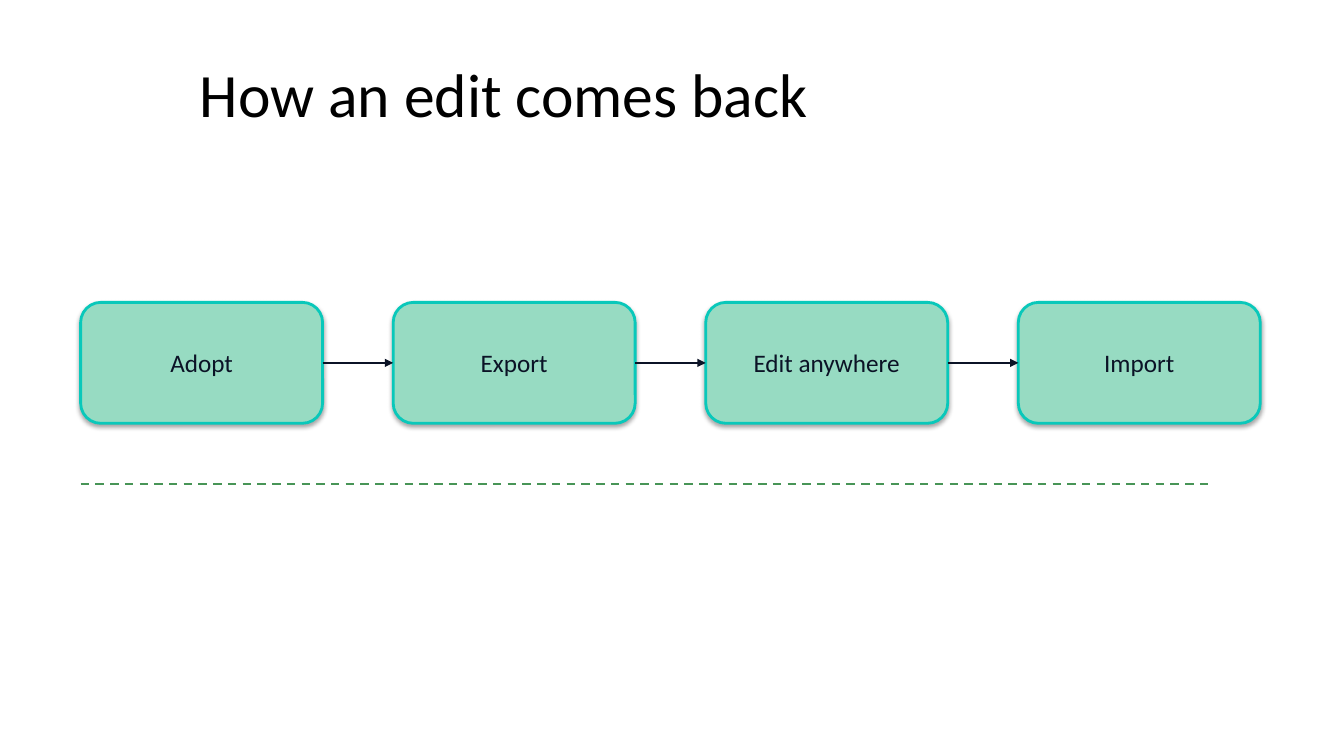
from lxml import etree
from pptx import Presentation
from pptx.dml.color import RGBColor
from pptx.enum.dml import MSO_LINE
from pptx.enum.shapes import MSO_CONNECTOR as CONN, MSO_SHAPE as SHAPE
from pptx.enum.text import MSO_ANCHOR as ANCHOR, PP_ALIGN as ALIGN
from pptx.oxml.ns import qn
from pptx.util import Inches, Pt

STEPS = ["Adopt", "Export", "Edit anywhere", "Import"]
LEFT, TOP, WIDTH, HEIGHT, GAP = 0.8, 3, 2.4, 1.2, 0.7
INK = "0B1326"


def rgb(value):
    return RGBColor.from_string(value)


def add_line(x1, y1, x2, y2, color):
    """Add a straight 1.5 pt line without a shadow; lengths in inches."""
    line = slide.shapes.add_connector(
        CONN.STRAIGHT, Inches(x1), Inches(y1), Inches(x2), Inches(y2))
    line.line.color.rgb = rgb(color)
    line.line.width = Pt(1.5)
    etree.SubElement(line.line._get_or_add_ln().getparent(), qn("a:effectLst"))
    return line


prs = Presentation()
prs.slide_width, prs.slide_height = Inches(13.33), Inches(7.5)
slide = prs.slides.add_slide(prs.slide_layouts[5])

title = slide.shapes.title
title.left, title.top = Inches(0.5), Inches(0.3)
title.width, title.height = Inches(9), Inches(1.25)
title.text_frame.text = "How an edit comes back"
title.text_frame.vertical_anchor = ANCHOR.MIDDLE
p = title.text_frame.paragraphs[0]
p.alignment = ALIGN.CENTER
p.font.name, p.font.size = "Calibri", Pt(44)
p.font.color.rgb = rgb("000000")

# The step boxes keep the soft shadow of the theme.
boxes = []
for i, step in enumerate(STEPS):
    sp = slide.shapes.add_shape(
        SHAPE.ROUNDED_RECTANGLE, Inches(LEFT + i * (WIDTH + GAP)), Inches(TOP),
        Inches(WIDTH), Inches(HEIGHT))
    sp.fill.solid()
    sp.fill.fore_color.rgb = rgb("97DBC2")
    sp.line.color.rgb = rgb("09C8BA")
    sp.line.width = Pt(2)
    tf = sp.text_frame
    tf.text = step
    tf.vertical_anchor = ANCHOR.MIDDLE
    p = tf.paragraphs[0]
    p.alignment = ALIGN.CENTER
    p.font.name, p.font.size = "Calibri", Pt(18)
    p.font.color.rgb = rgb(INK)
    boxes.append(sp)

middle = TOP + HEIGHT / 2
for i, (box, following) in enumerate(zip(boxes, boxes[1:])):
    x = LEFT + i * (WIDTH + GAP) + WIDTH
    arrow = add_line(x, middle, x + GAP, middle, INK)
    arrow.begin_connect(box, 3)
    arrow.end_connect(following, 1)
    etree.SubElement(arrow.line._get_or_add_ln(), qn("a:tailEnd"), type="triangle")

divider = add_line(LEFT, 4.8, 12, 4.8, "489557")
divider.line.dash_style = MSO_LINE.DASH

prs.save("out.pptx")
